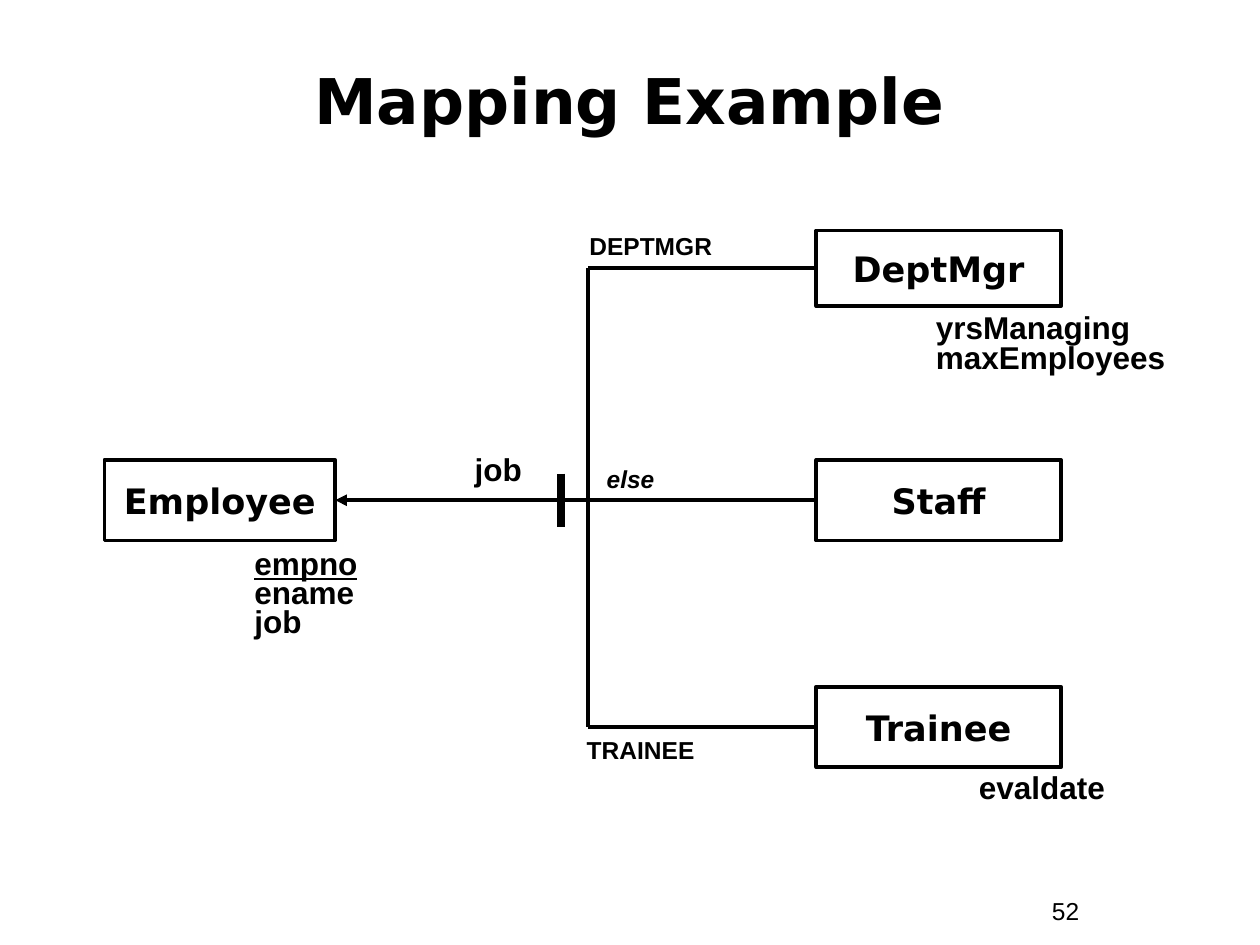
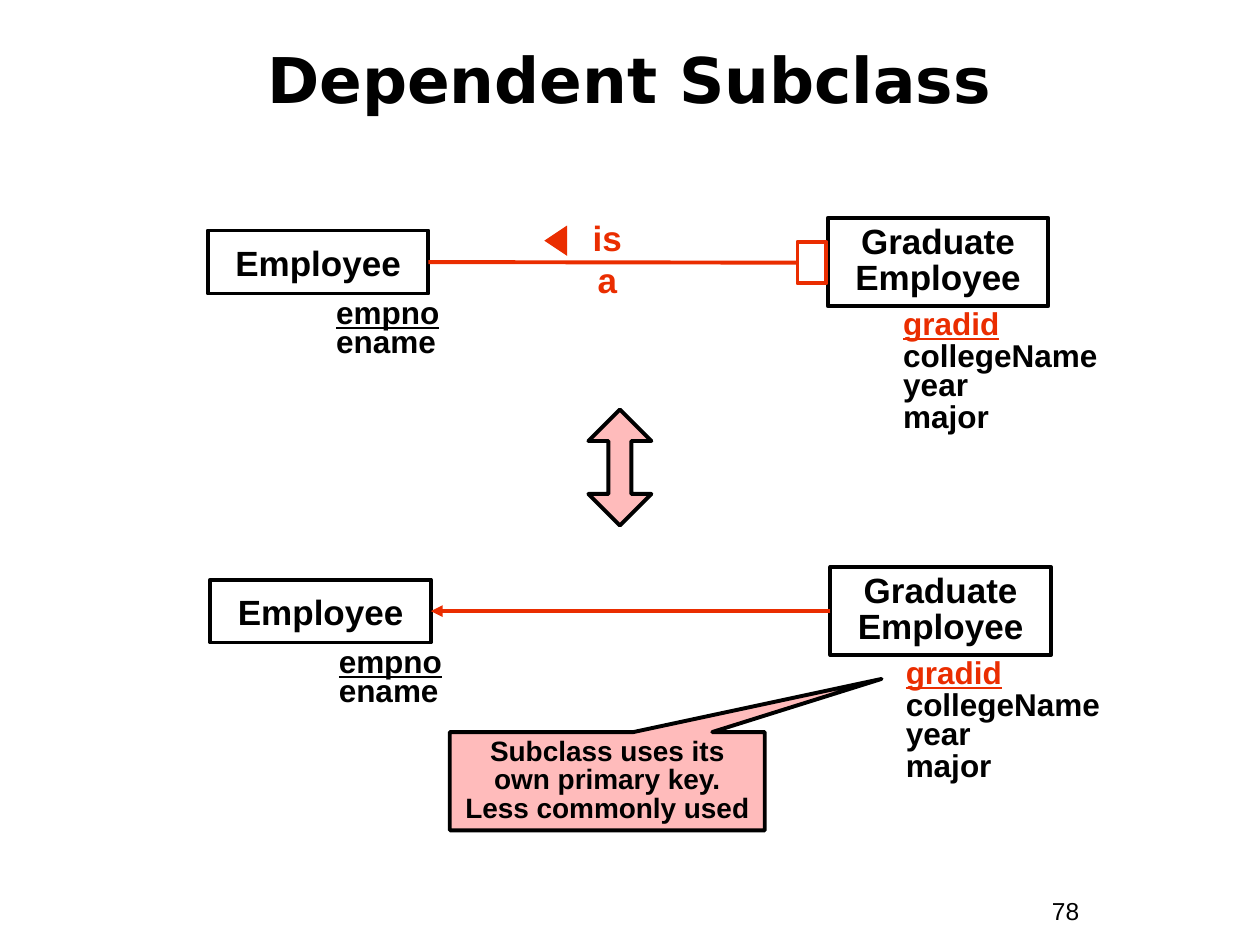
import copy
from dataclasses import dataclass

import pptx
import pptx.dml.color
import pptx.enum.shapes
import pptx.enum.text
import pptx.oxml
import pptx.oxml.ns
import pptx.util
from lxml import etree

Inches = pptx.util.Inches
SHAPE = pptx.enum.shapes.MSO_SHAPE
ALIGN = pptx.enum.text.PP_ALIGN
ANCHOR = pptx.enum.text.MSO_ANCHOR
qn = pptx.oxml.ns.qn


# Colours, fonts, type sizes and line widths
@dataclass(frozen=True)
class Theme:
    black: str = "000000"
    red: str = "EA2D00"
    pink: str = "FFBBBB"
    sans: str = "Arial"
    wide: str = "DejaVu Sans"
    head: int = 36
    node: int = 20
    body: int = 18
    note: int = 16
    small: int = 14
    line: float = 2.25
    bar: float = 4.5


theme = Theme()


def rgb(color):
    return pptx.dml.color.RGBColor.from_string(color)


def place(left, top, width, height):
    return [Inches(round(side, 2)) for side in (left, top, width, height)]


def write(frame, text, size=theme.body, font=theme.sans, color=theme.black,
          bold=True, italic=False, under=False, align=ALIGN.LEFT, lead=1.0):
    """Fill the empty first paragraph or add one; \\v breaks a line."""
    par = frame.paragraphs[0] if not frame.text else frame.add_paragraph()
    par.text = text
    par.alignment = align
    par.line_spacing = lead
    for run in par.runs:
        run.font.size = pptx.util.Pt(size)
        run.font.name = font
        run.font.bold = bold
        run.font.italic = italic
        run.font.underline = under
        run.font.color.rgb = rgb(color)
    for gap in par._p.findall(qn("a:br")):
        gap.append(copy.deepcopy(par.runs[0]._r.rPr))


def label(slide, text, box, wrap=True, **style):
    frame = slide.shapes.add_textbox(*place(*box)).text_frame
    frame.word_wrap = wrap
    write(frame, text, **style)


def fields(slide, rows, box):
    """List attributes, one (text, line spacing, style) per row."""
    frame = slide.shapes.add_textbox(*place(*box)).text_frame
    frame.word_wrap = True
    for text, lead, style in rows:
        write(frame, text, lead=lead, **style)


def draw(slide, kind, box, fill=None, line=theme.black):
    shape = slide.shapes.add_shape(kind, *place(*box))
    shape.shadow.inherit = False
    if fill:
        shape.fill.solid()
        shape.fill.fore_color.rgb = rgb(fill)
    else:
        shape.fill.background()
    if line:
        shape.line.color.rgb = rgb(line)
        shape.line.width = pptx.util.Pt(theme.line)
    else:
        shape.line.fill.background()
    return shape


def node(slide, text, box, **style):
    shape = draw(slide, SHAPE.RECTANGLE, box)
    frame = shape.text_frame
    frame.word_wrap = False
    frame.vertical_anchor = ANCHOR.MIDDLE
    write(frame, text, size=theme.node, align=ALIGN.CENTER, **style)
    return shape


def link(slide, start, end, color=theme.black, width=theme.line, arrow=False):
    """Join two ends, each a point or a (shape, side) pair."""
    line = slide.shapes.add_connector(
        pptx.enum.shapes.MSO_CONNECTOR.STRAIGHT, 0, 0, 0, 0)
    points = [None if hasattr(spot[0], "shape_id") else place(*spot, 0, 0)[:2]
              for spot in (start, end)]
    if points[0]:
        line.begin_x, line.begin_y = points[0]
    else:
        line.begin_connect(*start)
    if points[1]:
        line.end_x, line.end_y = points[1]
    else:
        line.end_connect(*end)
    line.line.color.rgb = rgb(color)
    line.line.width = pptx.util.Pt(width)
    props = line._element.spPr
    if arrow:
        etree.SubElement(props.find(qn("a:ln")), qn("a:tailEnd"),
                         type="triangle")
    etree.SubElement(props, qn("a:effectLst"))


def begin(deck, title, height, number):
    """Add a slide with its title and page number."""
    slide = deck.slides.add_slide(deck.slide_layouts[5])
    head = slide.shapes.title
    head.left, head.top, head.width, head.height = place(
        0.33, 0.33, 9.33, height)
    frame = head.text_frame
    frame.auto_size = pptx.enum.text.MSO_AUTO_SIZE.NONE
    frame.vertical_anchor = ANCHOR.MIDDLE
    write(frame, title, size=theme.head, font=theme.wide, align=ALIGN.CENTER)
    label(slide, number, (8.25, 7.06, 0.92, 0.34), size=theme.small,
          bold=False)
    return slide


EMPLOYEE = [("empno", 0.9, {"under": True}), ("ename", 0.75, {})]
GRADUATE = [("gradid", 0.85, {"under": True, "color": theme.red}),
            ("collegeName", 0.85, {}), ("year", 0.75, {}),
            ("major", 0.85, {})]


def tree(slide, left, top):
    """Superclass on the left, three subclasses on the right."""
    hub, mid = left + 3.84, top + 2.14

    # Classes
    parent = node(slide, "Employee", (left, top + 1.82, 1.83, 0.64),
                  font=theme.wide)
    kids = [node(slide, name, (left + 5.65, top + drop, 1.94, height),
                 font=theme.wide)
            for name, drop, height in (("DeptMgr", 0, 0.6),
                                       ("Staff", 1.82, 0.64),
                                       ("Trainee", 3.62, 0.64))]

    # Attributes
    fields(slide, EMPLOYEE[:1] + [("ename\vjob", 0.75, {})],
           (left + 1.09, top + 2.47, 1.08, 0.82))
    fields(slide, [("yrsManaging", 0.9, {}), ("maxEmployees", 0.75, {})],
           (left + 6.5, top + 0.6, 2.17, 0.6))
    fields(slide, [("evaldate", 0.9, {})],
           (left + 6.84, top + 4.25, 1.5, 0.37))

    # Branches, trunk, arrow and bar
    levels = (top + 0.3, mid, top + 3.94)
    for kid, level in zip(kids, levels):
        link(slide, (kid, 1), (hub, level))
    link(slide, (hub, levels[0]), (hub, levels[-1]))
    link(slide, (hub, mid), (parent, 3), arrow=True)
    link(slide, (left + 3.62, mid - 0.21), (left + 3.62, mid + 0.21),
         width=theme.bar)

    # Branch names
    label(slide, "job", (left + 2.75, top + 1.75, 0.75, 0.34),
          align=ALIGN.CENTER, lead=0.8)
    for text, over, drop, slant in (("DEPTMGR", 3.67, 0, False),
                                    ("else", 3.51, 1.85, True),
                                    ("TRAINEE", 3.59, 4, False)):
        label(slide, text, (left + over, top + drop, 1.33, 0.29),
              size=theme.small, italic=slant, align=ALIGN.CENTER, lead=0.8)


def pair(slide, left, top):
    """Employee and graduate employee with their attributes."""
    parent = node(slide, "Employee", (left, top, 1.75, 0.5))
    child = node(slide, "Graduate\vEmployee",
                 (left + 4.92, top - 0.1, 1.75, 0.7), lead=0.85)
    fields(slide, EMPLOYEE, (left + 0.92, top + 0.48, 1.08, 0.6))
    fields(slide, GRADUATE, (left + 5.42, top + 0.58, 1.75, 1.09))
    return parent, child


def model(slide, left, top):
    """Relationship with a dependent end."""
    parent, _ = pair(slide, left, top)
    mark = draw(slide, SHAPE.RECTANGLE,
                (left + 4.68, top + 0.09, 0.23, 0.33), line=theme.red)
    link(slide, (parent, 3), (mark, 1), color=theme.red)
    label(slide, "is a", (left + 2.84, top - 0.16, 0.66, 0.44), wrap=False,
          size=theme.node, color=theme.red, align=ALIGN.CENTER)
    tip = draw(slide, SHAPE.ISOSCELES_TRIANGLE,
               (left + 2.64, top - 0.01, 0.24, 0.18),
               fill=theme.red, line=None)
    tip.rotation = 270


def schema(slide, left, top):
    """Reference to the parent, with a callout."""
    parent, child = pair(slide, left, top)
    link(slide, (child, 1), (parent, 3), color=theme.red, arrow=True)
    note = draw(slide, SHAPE.RECTANGULAR_CALLOUT,
                (left + 1.9, top + 1.21, 2.5, 0.78), fill=theme.pink)
    note.adjustments[0] = 0.871
    note.adjustments[1] = -1.041
    frame = note.text_frame
    frame.word_wrap = True
    frame.vertical_anchor = ANCHOR.TOP
    write(frame, "Subclass uses its own primary key.\vLess commonly used",
          size=theme.note, align=ALIGN.CENTER, lead=0.85)


def swap(slide, left, top):
    """Two-way arrow between the two forms."""
    arrow = draw(slide, SHAPE.UP_DOWN_ARROW, (left, top, 0.5, 0.92),
                 fill=theme.pink)
    arrow.adjustments[0] = 0.5
    arrow.adjustments[1] = 0.365


def main():
    deck = pptx.Presentation()
    deck.slide_width, deck.slide_height = Inches(10), Inches(7.5)

    slide = begin(deck, "Mapping Example", 0.92, "52")
    tree(slide, 0.83, 1.83)

    slide = begin(deck, "Dependent Subclass", 0.58, "78")
    model(slide, 1.65, 1.83)
    swap(slide, 4.67, 3.25)
    schema(slide, 1.67, 4.6)

    deck.save("out.pptx")


if __name__ == "__main__":
    main()
